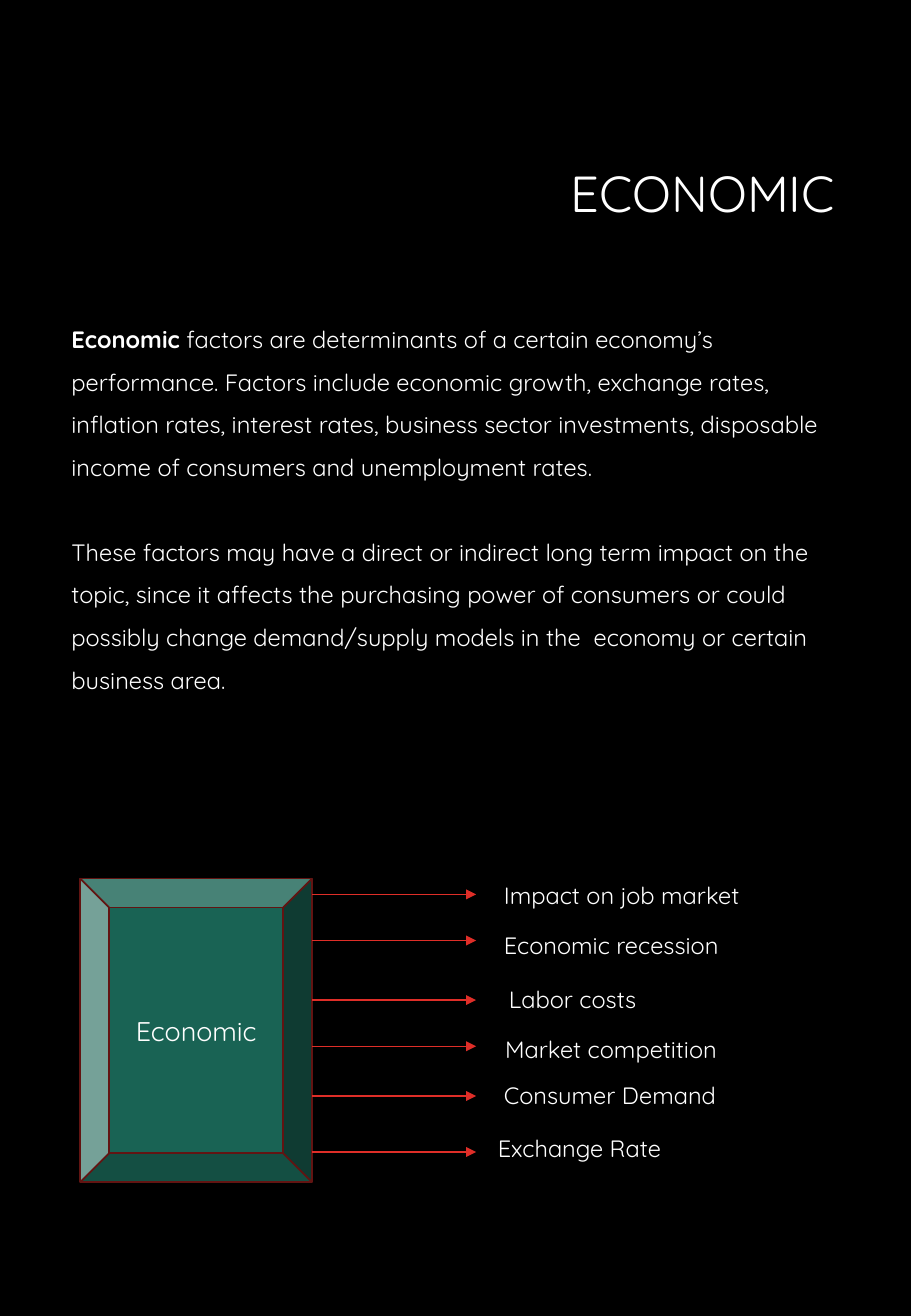
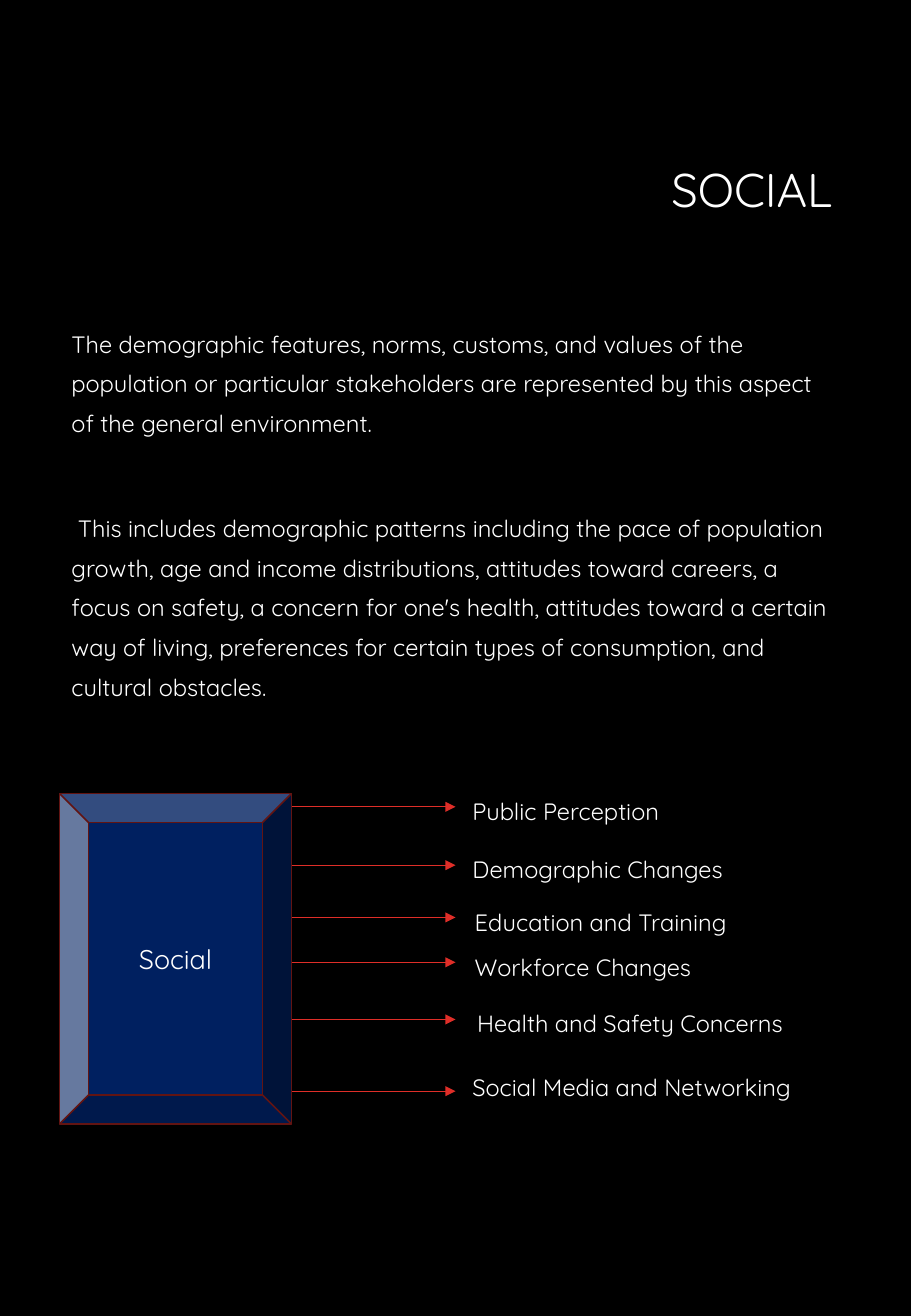
from dataclasses import dataclass

from lxml.etree import SubElement
from pptx import Presentation
from pptx.dml.color import RGBColor
from pptx.enum.shapes import MSO_CONNECTOR as Connector, MSO_SHAPE as Preset
from pptx.enum.text import MSO_ANCHOR as Anchor, MSO_AUTO_SIZE as AutoSize, PP_ALIGN as Align
from pptx.oxml.ns import qn
from pptx.slide import Slide
from pptx.text.text import _Paragraph as Paragraph
from pptx.util import Emu, Pt


@dataclass(frozen=True)
class Theme:
    font: str = "Quicksand"
    background: str = "000000"
    text: str = "FFFFFF"
    arrow: str = "DF2E28"
    outline: str = "621412"
    body_size: int = 14
    factor_size: int = 16
    title_spacing: float = 0.9
    arrow_width: float = 0.75
    outline_width: int = 1


@dataclass(frozen=True)
class Frame:
    left: int
    top: int
    width: int
    height: int


@dataclass(frozen=True)
class Effect:
    text: str
    left: int
    top: int
    arrow_y: int


@dataclass(frozen=True)
class Factor:
    name: str
    fill: str
    title_frame: Frame
    title_size: int
    body_frame: Frame
    body: list[list[tuple[str, bool]]]
    line_spacing: float
    paragraph_gap: float
    bevel: Frame
    effects: list[Effect]


THEME = Theme()
PX = 9144
PAGE_WIDTH, PAGE_HEIGHT = 750, 1083
LABEL_WIDTH, LABEL_HEIGHT = 318, 34
ARROW_LENGTH = 135

FACTORS = [
    Factor(
        name="Economic",
        fill="196354",
        title_frame=Frame(112, 111, 585, 101),
        title_size=30,
        body_frame=Frame(49, 251, 670, 362),
        body=[
            [
                ("Economic", True),
                (" factors are determinants of a certain economy’s performance. Factors include "
                 "economic growth, exchange rates, inflation rates, interest rates, business sector "
                 "investments, disposable income of consumers and unemployment rates.", False),
            ],
            [
                ("These factors may have a direct or indirect long term impact on the topic, since "
                 "it affects the purchasing power of consumers or could possibly change "
                 "demand/supply models in the  economy or certain business area.", False),
            ],
        ],
        line_spacing=1.5,
        paragraph_gap=25.2,
        bevel=Frame(66, 723, 191, 250),
        effects=[
            Effect("Impact on job market", 405, 720, 736),
            Effect("Economic recession", 405, 761, 774),
            Effect("Labor costs", 409, 806, 823),
            Effect("Market competition", 406, 847, 861),
            Effect("Consumer Demand", 405, 885, 902),
            Effect("Exchange Rate", 400, 928, 948),
        ],
    ),
    Factor(
        name="Social",
        fill="002060",
        title_frame=Frame(107, 104, 588, 108),
        title_size=28,
        body_frame=Frame(49, 257, 653, 342),
        body=[
            [
                ("The demographic features, norms, customs, and values of the population or "
                 "particular stakeholders are represented by this aspect of the general "
                 "environment.", False),
            ],
            [
                (" This includes demographic patterns including the pace of population growth, age "
                 "and income distributions, attitudes toward careers, a focus on safety, a concern "
                 "for one's health, attitudes toward a certain way of living, preferences for "
                 "certain types of consumption, and cultural obstacles.", False),
            ],
        ],
        line_spacing=1.4,
        paragraph_gap=38.5,
        bevel=Frame(49, 653, 191, 272),
        effects=[
            Effect("Public Perception", 379, 651, 664),
            Effect("Demographic Changes", 379, 699, 712),
            Effect("Education and Training", 381, 742, 755),
            Effect("Workforce Changes", 381, 779, 792),
            Effect("Health and Safety Concerns", 383, 825, 839),
            Effect("Social Media and Networking", 379, 878, 898),
        ],
    ),
]


def px(length: int) -> Emu:
    return Emu(length * PX)


def bounds(frame: Frame) -> tuple[Emu, Emu, Emu, Emu]:
    return px(frame.left), px(frame.top), px(frame.width), px(frame.height)


def color(value: str) -> RGBColor:
    return RGBColor.from_string(value)


def style(para: Paragraph, size: int) -> None:
    para.font.name = THEME.font
    para.font.size = Pt(size)
    para.font.color.rgb = color(THEME.text)


def add_text_box(page: Slide, frame: Frame):
    text_frame = page.shapes.add_textbox(*bounds(frame)).text_frame
    text_frame.word_wrap = True
    return text_frame


def add_title(page: Slide, factor: Factor) -> None:
    text_frame = add_text_box(page, factor.title_frame)
    text_frame.vertical_anchor = Anchor.MIDDLE
    para = text_frame.paragraphs[0]
    para.text = factor.name.upper()
    para.alignment = Align.RIGHT
    para.line_spacing = THEME.title_spacing
    style(para, factor.title_size)


def add_body(page: Slide, factor: Factor) -> None:
    text_frame = add_text_box(page, factor.body_frame)
    for index, spans in enumerate(factor.body):
        para = text_frame.add_paragraph() if index else text_frame.paragraphs[0]
        para.line_spacing = factor.line_spacing
        if index:
            para.space_before = Pt(factor.paragraph_gap)
        for text, bold in spans:
            span = para.add_run()
            span.text = text
            if bold:
                span.font.bold = True
        style(para, THEME.body_size)


def add_bevel(page: Slide, factor: Factor) -> None:
    bevel = page.shapes.add_shape(Preset.BEVEL, *bounds(factor.bevel))
    bevel.shadow.inherit = False
    bevel.fill.solid()
    bevel.fill.fore_color.rgb = color(factor.fill)
    bevel.line.color.rgb = color(THEME.outline)
    bevel.line.width = Pt(THEME.outline_width)
    bevel.text_frame.vertical_anchor = Anchor.MIDDLE
    para = bevel.text_frame.paragraphs[0]
    para.text = factor.name
    para.alignment = Align.CENTER
    style(para, THEME.factor_size)


def add_label(page: Slide, effect: Effect) -> None:
    text_frame = add_text_box(page, Frame(effect.left, effect.top, LABEL_WIDTH, LABEL_HEIGHT))
    text_frame.auto_size = AutoSize.SHAPE_TO_FIT_TEXT
    para = text_frame.paragraphs[0]
    para.text = effect.text
    style(para, THEME.body_size)


def add_arrow(page: Slide, left: int, y: int) -> None:
    arrow = page.shapes.add_connector(
        Connector.STRAIGHT, px(left), px(y), px(left + ARROW_LENGTH), px(y)
    )
    arrow.line.color.rgb = color(THEME.arrow)
    arrow.line.width = Pt(THEME.arrow_width)
    SubElement(arrow.line._get_or_add_ln(), qn("a:tailEnd"), type="triangle")
    SubElement(arrow._element.spPr, qn("a:effectLst"))


def add_factor(page: Slide, factor: Factor) -> None:
    page.background.fill.solid()
    page.background.fill.fore_color.rgb = color(THEME.background)
    add_title(page, factor)
    add_body(page, factor)
    add_bevel(page, factor)
    for effect in factor.effects:
        add_label(page, effect)
        add_arrow(page, factor.bevel.left + factor.bevel.width, effect.arrow_y)


def main() -> None:
    deck = Presentation()
    deck.slide_width, deck.slide_height = px(PAGE_WIDTH), px(PAGE_HEIGHT)
    blank = deck.slide_layouts[6]
    for factor in FACTORS:
        add_factor(deck.slides.add_slide(blank), factor)
    deck.save("out.pptx")


if __name__ == "__main__":
    main()
